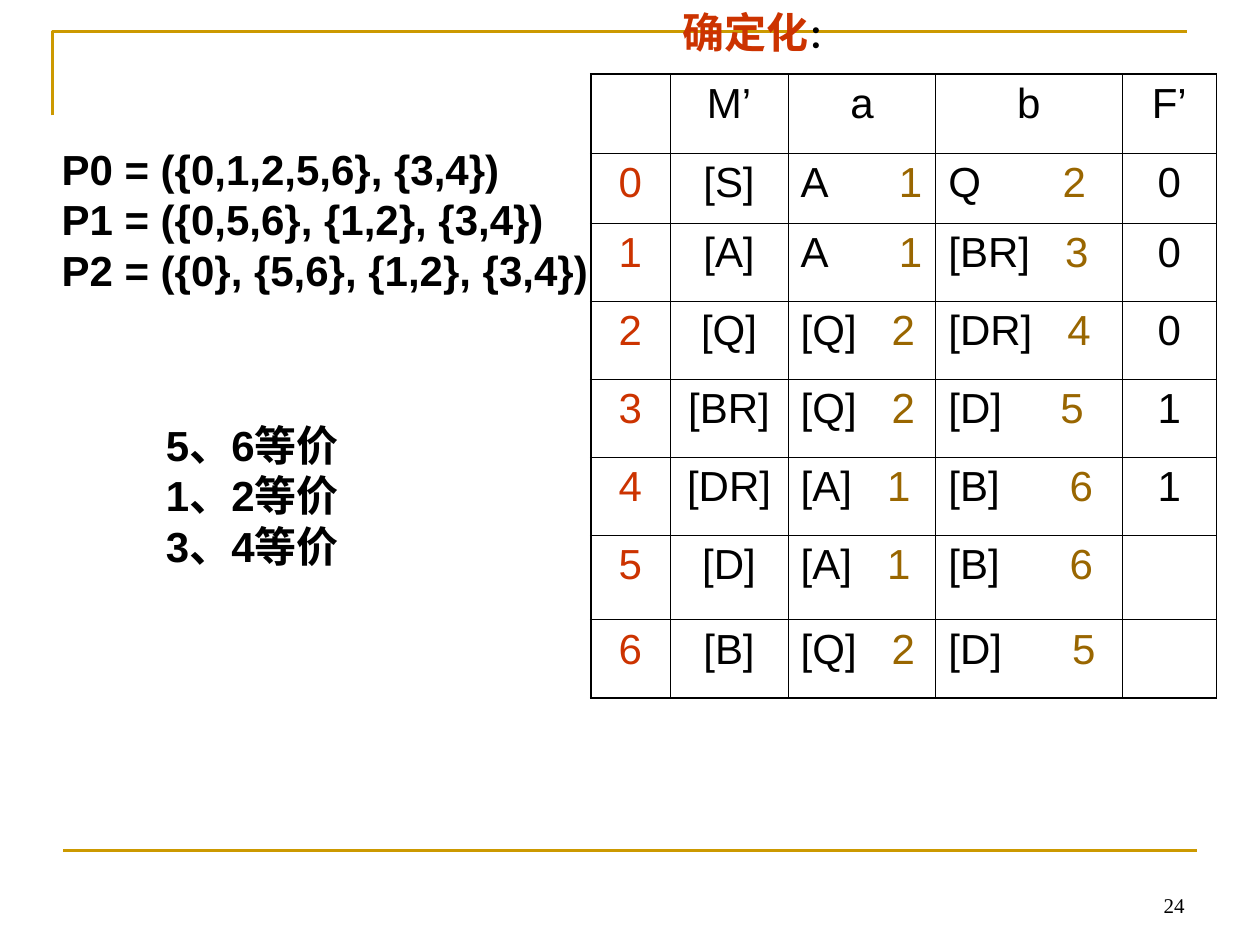
from typing import NamedTuple

from lxml import etree
from pptx import Presentation
from pptx.dml.color import RGBColor
from pptx.enum.shapes import MSO_CONNECTOR
from pptx.enum.text import MSO_ANCHOR, MSO_AUTO_SIZE, PP_ALIGN
from pptx.oxml.ns import qn
from pptx.util import Pt

STRAIGHT = MSO_CONNECTOR.STRAIGHT
BOTTOM = MSO_ANCHOR.BOTTOM
TOP = MSO_ANCHOR.TOP
FIT = MSO_AUTO_SIZE.SHAPE_TO_FIT_TEXT
FIXED = MSO_AUTO_SIZE.NONE
LEFT = PP_ALIGN.LEFT
CENTER = PP_ALIGN.CENTER
RIGHT = PP_ALIGN.RIGHT

COLORS = {"ink": "000000", "red": "CC3300", "brown": "996600", "gold": "CC9900"}
THIN, THICK = 0.45, 1.08


class Span(NamedTuple):
    text: str
    color: str = "ink"
    size: float = 24
    bold: bool = False
    font: str = "Arial"


class Box(NamedTuple):
    left: float
    top: float
    width: float
    height: float
    lines: list
    align: PP_ALIGN = LEFT
    anchor: MSO_ANCHOR = TOP
    fit: MSO_AUTO_SIZE = FIT
    wrap: bool = True


class Move(NamedTuple):
    label: str
    target: str
    tab: float


class State(NamedTuple):
    name: str
    a: Move
    b: Move
    final: str = ""


def bold_lines(*texts: str) -> list:
    return [[Span(text, bold=True)] for text in texts]


BOXES = [
    Box(516.2, 491.8, 167.8, 36, [[Span("24", size=12, font="Times New Roman")]],
        RIGHT, BOTTOM, FIXED),
    Box(87.8, 236.2, 182.9, 93.6, bold_lines("5、6等价", "1、2等价", "3、4等价")),
    Box(383, 0, 104.4, 36,
        [[Span("确定化", "red", bold=True), Span("：", size=18, bold=True)]], wrap=False),
    Box(28.1, 78.5, 337.7, 93.6, bold_lines(
        "P0 = ({0,1,2,5,6}, {3,4})",
        "P1 = ({0,5,6}, {1,2}, {3,4})",
        "P2 = ({0}, {5,6}, {1,2}, {3,4})")),
]

HEADS = ["", "M’", "a", "b", "F’"]
TO_A = Move("A", "1", 56)
TO_Q = Move("[Q]", "2", 52)
BACK_A = Move("[A]", "1", 49.3)
TO_B = Move("[B]", "6", 69.3)
STATES = [
    State("[S]", TO_A, Move("Q", "2", 65.3), "0"),
    State("[A]", TO_A, Move("[BR]", "3", 66.7), "0"),
    State("[Q]", TO_Q, Move("[DR]", "4", 68), "0"),
    State("[BR]", TO_Q, Move("[D]", "5", 64), "1"),
    State("[DR]", BACK_A, TO_B, "1"),
    State("[D]", BACK_A, TO_B),
    State("[B]", TO_Q, Move("[D]", "5", 70.7)),
]
WIDTHS = [45.2, 67.6, 84.4, 106.4, 54]
HEIGHTS = [45.2, 40, 44.6, 44.6, 44.6, 44.6, 48.2, 44.6]


def add_span(para, span: Span) -> None:
    run = para.add_run()
    run.text = span.text
    font = run.font
    font.name, font.size, font.bold = span.font, Pt(span.size), span.bold
    font.color.rgb = RGBColor.from_string(COLORS[span.color])


def add_box(slide, box: Box) -> None:
    shape = slide.shapes.add_textbox(
        Pt(box.left), Pt(box.top), Pt(box.width), Pt(box.height))
    frame = shape.text_frame
    frame.word_wrap = box.wrap
    frame.auto_size = box.fit
    frame.vertical_anchor = box.anchor
    for i, line in enumerate(box.lines):
        para = frame.add_paragraph() if i else frame.paragraphs[0]
        para.alignment = box.align
        for span in line:
            add_span(para, span)


def style_line(shape) -> None:
    shape.line.color.rgb = RGBColor.from_string(COLORS["gold"])
    shape.line.width = Pt(1.5)


def add_frame(slide) -> None:
    pen = slide.shapes.build_freeform(Pt(30.2), Pt(66))
    pen.add_line_segments([(Pt(30.2), Pt(18)), (Pt(678.2), Pt(18))], close=False)
    corner = pen.convert_to_shape()
    corner.fill.background()
    corner.shadow.inherit = False
    style_line(corner)
    rule = slide.shapes.add_connector(STRAIGHT, Pt(36), Pt(486), Pt(684), Pt(486))
    style_line(rule)
    etree.SubElement(rule._element.spPr, qn("a:effectLst"))


def add_edge(cell, side: str, width: float) -> None:
    props = cell._tc.get_or_add_tcPr()
    edge = etree.SubElement(props, qn(f"a:ln{side}"), w=str(int(Pt(width))))
    fill = etree.SubElement(edge, qn("a:solidFill"))
    etree.SubElement(fill, qn("a:srgbClr"), val=COLORS["ink"])


def add_tab(para, pos: float) -> None:
    stops = etree.SubElement(para._p.get_or_add_pPr(), qn("a:tabLst"))
    etree.SubElement(stops, qn("a:tab"), pos=str(int(Pt(pos))), algn="l")


def fill_cell(cell, item, color: str) -> None:
    para = cell.text_frame.paragraphs[0]
    para.space_before = Pt(6)
    if isinstance(item, Move):
        para.alignment = LEFT
        add_tab(para, item.tab)
        add_span(para, Span(item.label + "\t"))
        add_span(para, Span(item.target, "brown"))
    elif item:
        para.alignment = CENTER
        add_span(para, Span(item, color))


def add_grid(slide) -> None:
    rows = [HEADS] + [[str(i), *state] for i, state in enumerate(STATES)]
    table = slide.shapes.add_table(
        len(rows), len(HEADS), Pt(337.6), Pt(42.4),
        Pt(sum(WIDTHS)), Pt(sum(HEIGHTS))).table
    table.first_row = table.horz_banding = False
    for col, width in zip(table.columns, WIDTHS):
        col.width = Pt(width)
    for r, (row, height) in enumerate(zip(rows, HEIGHTS)):
        table.rows[r].height = Pt(height)
        for c, item in enumerate(row):
            cell = table.cell(r, c)
            outer = {"L": c == 0, "R": c == len(row) - 1,
                     "T": r == 0, "B": r == len(rows) - 1}
            for side, edge in outer.items():
                add_edge(cell, side, THICK if edge else THIN)
            cell.fill.background()
            fill_cell(cell, item, "ink" if c else "red")


def main() -> None:
    deck = Presentation()
    deck.slide_width, deck.slide_height = Pt(720), Pt(540)
    slide = deck.slides.add_slide(deck.slide_layouts[6])
    add_frame(slide)
    add_grid(slide)
    for box in BOXES:
        add_box(slide, box)
    deck.save("out.pptx")


if __name__ == "__main__":
    main()
